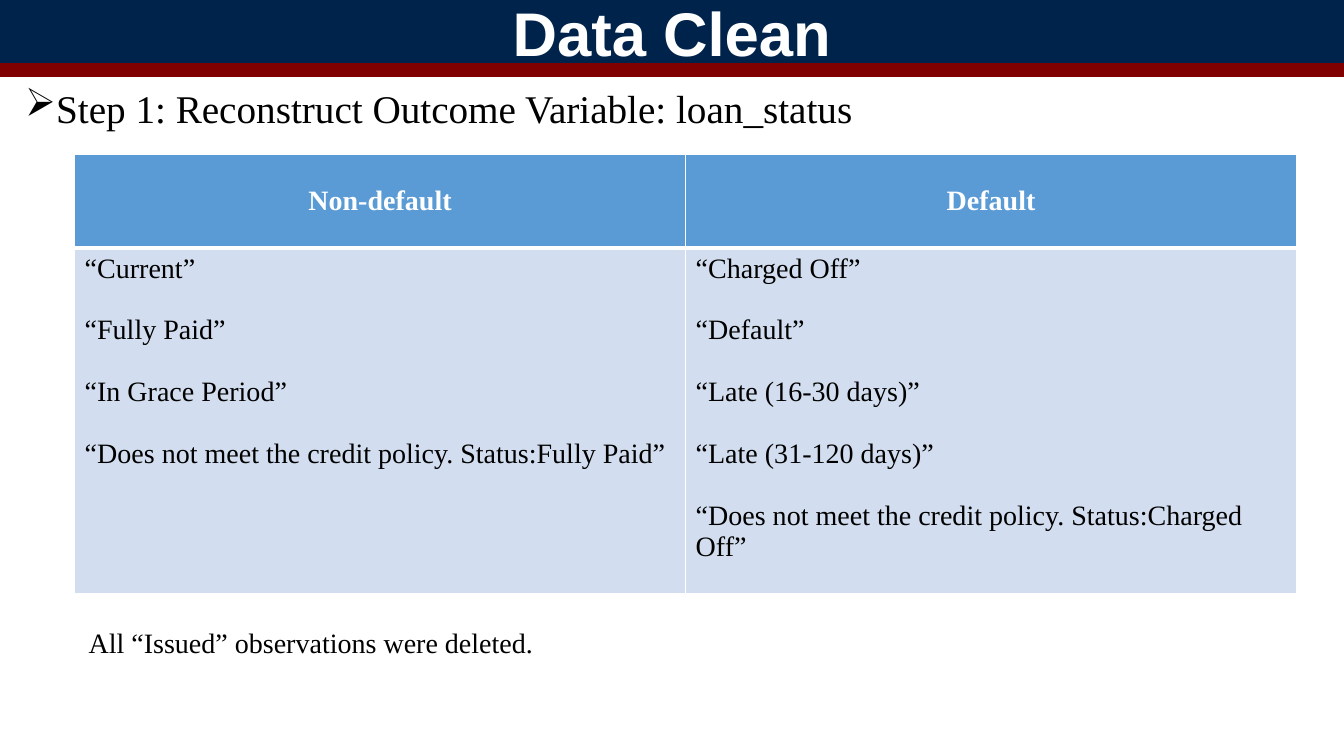
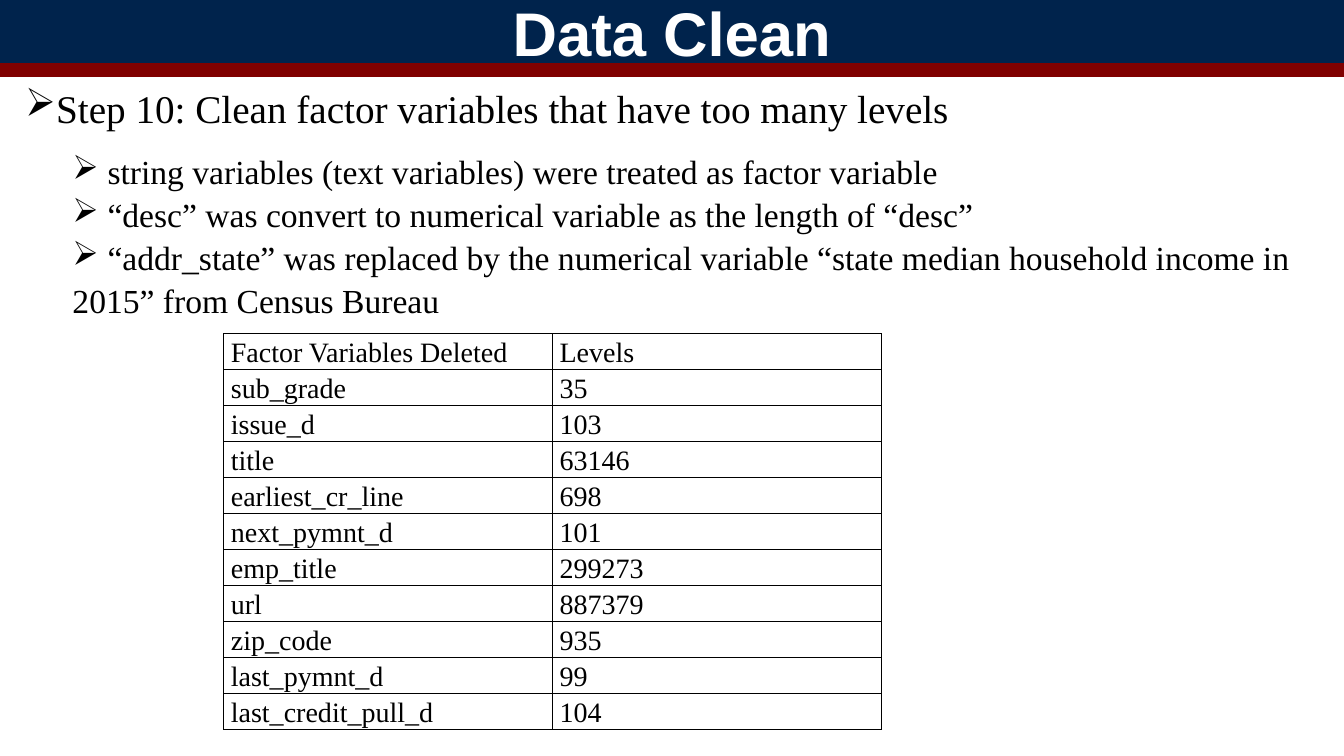
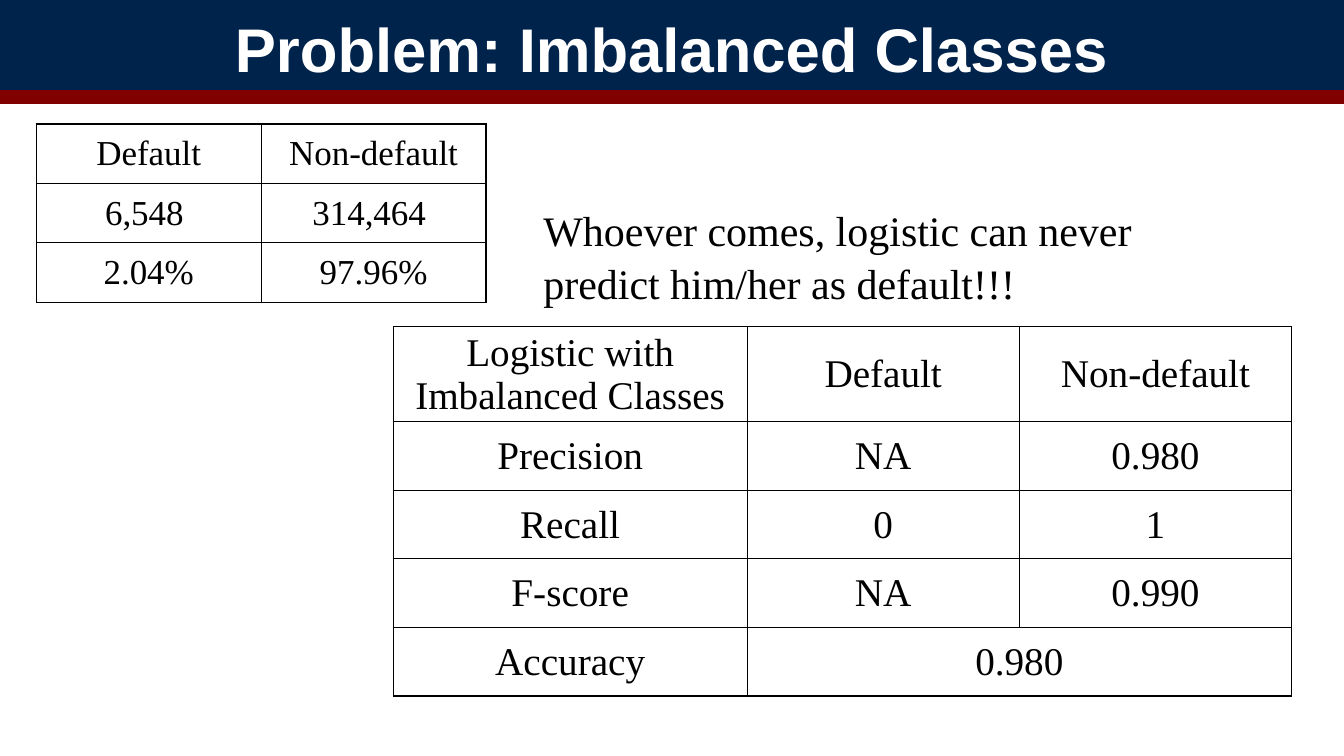
"""Build three slides on loan data cleaning and imbalanced classes."""
from dataclasses import dataclass

from lxml.etree import SubElement
from pptx import Presentation
from pptx.dml.color import RGBColor
from pptx.enum.shapes import MSO_CONNECTOR as Connector
from pptx.enum.text import MSO_ANCHOR as Anchor, MSO_AUTO_SIZE as AutoSize, PP_ALIGN as Align
from pptx.oxml import parse_xml
from pptx.oxml.ns import nsdecls, qn
from pptx.util import Pt

PX = 9144
SLIDE_W, SLIDE_H = 1333, 750


@dataclass(frozen=True)
class Theme:
    navy: str = "00234C"
    maroon: str = "800000"
    white: str = "FFFFFF"
    black: str = "000000"
    header_blue: str = "5B9BD5"
    pale_blue: str = "D2DEEF"
    title_font: str = "Arial"
    body_font: str = "Times New Roman"
    title: int = 44
    callout: int = 30
    step: int = 28
    detail: int = 24
    counts: int = 25
    small: int = 20
    rule: int = 10
    leading: float = 1.07


THEME = Theme()

STEP_BOX = (15, 75, 1335, 57)
STATUS_STYLE = dict(size=THEME.small, border=THEME.white, fills=(THEME.header_blue, THEME.pale_blue),
                    header_rule=3, header_color=THEME.white, header_bold=True,
                    margins=(10, 5, 10, 5), body_anchor=Anchor.TOP, item_gap=22)
LEVELS_STYLE = dict(size=THEME.small, margins=(7, 0, 7, 0), leading=THEME.leading)
CLASS_STYLE = dict(margins=(1, 1, 1, 0), align=Align.CENTER)

SLIDES = [
    dict(
        title="Data Clean", band=63, rule_y=69,
        texts=[
            dict(box=STEP_BOX, size=THEME.step, bullet_indent=-50,
                 lines=["Step 1: Reconstruct Outcome Variable: loan_status"]),
            dict(box=(78, 613, 809, 44), size=THEME.small,
                 lines=["All “Issued” observations were deleted."]),
        ],
        tables=[
            dict(at=(74, 153), columns=[606, 606], heights=[93, 343], style=STATUS_STYLE, rows=[
                ("Non-default", "Default"),
                (["“Current”", "“Fully Paid”", "“In Grace Period”",
                  "“Does not meet the credit policy. Status:Fully Paid”"],
                 ["“Charged Off”", "“Default”", "“Late (16-30 days)”", "“Late (31-120 days)”",
                  "“Does not meet the credit policy. Status:Charged Off”"]),
            ]),
        ],
    ),
    dict(
        title="Data Clean", band=63, rule_y=69,
        texts=[
            dict(box=STEP_BOX, size=THEME.step, bullet_indent=-50,
                 lines=["Step 10: Clean factor variables that have too many levels"]),
            dict(box=(62, 142, 1231, 172), size=THEME.detail, bullet_indent=0, lines=[
                " string variables (text variables) were treated as factor variable",
                " “desc” was convert to numerical variable as the length of “desc”",
                " “addr_state” was replaced by the numerical variable "
                "“state median household income in 2015” from Census Bureau",
            ]),
        ],
        tables=[
            dict(at=(222, 331), columns=[326, 326], heights=[392 / 11] * 11, style=LEVELS_STYLE, rows=[
                ("Factor Variables Deleted", "Levels"),
                ("sub_grade", "35"),
                ("issue_d", "103"),
                ("title", "63146"),
                ("earliest_cr_line", "698"),
                ("next_pymnt_d", "101"),
                ("emp_title", "299273"),
                ("url", "887379"),
                ("zip_code", "935"),
                ("last_pymnt_d", "99"),
                ("last_credit_pull_d", "104"),
            ]),
        ],
    ),
    dict(
        title="Problem: Imbalanced Classes", band=94, rule_y=96,
        texts=[
            dict(box=(529, 194, 695, 111), size=THEME.callout,
                 lines=["Whoever comes, logistic can never predict him/her as default!!!"]),
        ],
        tables=[
            dict(at=(36, 123), columns=[223, 223], heights=[59] * 3,
                 style=dict(CLASS_STYLE, size=THEME.counts), rows=[
                     ("Default", "Non-default"),
                     ("6,548 ", "314,464 "),
                     ("2.04%", "97.96%"),
                 ]),
            dict(at=(390, 324), columns=[351, 270, 270], heights=[87] + [68] * 4,
                 style=dict(CLASS_STYLE, size=THEME.step), rows=[
                     ("Logistic with Imbalanced Classes", "Default", "Non-default"),
                     ("Precision", "NA", "0.980"),
                     ("Recall", "0", "1"),
                     ("F-score", "NA", "0.990"),
                     ("Accuracy", "0.980", None),
                 ]),
        ],
    ),
]


def emu(*lengths):
    return [round(length * PX) for length in lengths]


def rgb(color):
    return RGBColor.from_string(color)


def set_font(paragraph, size, color=THEME.black, bold=False, face=THEME.body_font):
    font = paragraph.font
    font.name, font.size, font.bold = face, Pt(size), bold
    font.color.rgb = rgb(color)


def fill_lines(frame, lines):
    frame.text = lines[0]
    for line in lines[1:]:
        frame.add_paragraph().text = line
    return frame.paragraphs


def add_header(slide, title, band, rule_y):
    heading = slide.shapes.title
    heading.left, heading.top, heading.width, heading.height = emu(0, 0, SLIDE_W, band)
    heading.fill.solid()
    heading.fill.fore_color.rgb = rgb(THEME.navy)
    frame = heading.text_frame
    frame.text = title
    frame.auto_size, frame.vertical_anchor = AutoSize.NONE, Anchor.MIDDLE
    frame.paragraphs[0].alignment = Align.CENTER
    set_font(frame.paragraphs[0], THEME.title, THEME.white, True, THEME.title_font)

    rule = slide.shapes.add_connector(Connector.STRAIGHT, *emu(-1, rule_y, SLIDE_W, rule_y))
    rule.line.color.rgb = rgb(THEME.maroon)
    rule.line.width = Pt(THEME.rule)
    SubElement(rule._element.spPr, qn("a:effectLst"))


def add_text(slide, box, size, lines, bullet_indent=None):
    frame = slide.shapes.add_textbox(*emu(*box)).text_frame
    frame.word_wrap = True
    for paragraph in fill_lines(frame, lines):
        paragraph.line_spacing = THEME.leading
        set_font(paragraph, size)
        if bullet_indent is not None:
            properties = paragraph._p.get_or_add_pPr()
            properties.set("marL", "0")
            properties.set("indent", str(bullet_indent * PX))
            bullet = parse_xml(f'<a:buChar {nsdecls("a")} char="➢"/>')
            properties.find(qn("a:defRPr")).addprevious(bullet)


def set_borders(cell, color, widths):
    properties = cell._tc.get_or_add_tcPr()
    for place, (side, width) in enumerate(zip("LRTB", widths)):
        properties.insert(place, parse_xml(
            f'<a:ln{side} {nsdecls("a")} w="{Pt(width)}"><a:solidFill>'
            f'<a:srgbClr val="{color}"/></a:solidFill></a:ln{side}>'))


def style_cell(cell, content, row, size, margins, border=THEME.black, fills=None, header_rule=1,
               header_color=THEME.black, header_bold=False, align=Align.LEFT,
               body_anchor=Anchor.MIDDLE, item_gap=0, leading=1.0):
    is_header = row == 0
    if fills:
        cell.fill.solid()
        cell.fill.fore_color.rgb = rgb(fills[0 if is_header else 1])
    else:
        cell.fill.background()
    set_borders(cell, border, (1, 1, header_rule if row == 1 else 1, header_rule if is_header else 1))
    cell.margin_left, cell.margin_top, cell.margin_right, cell.margin_bottom = emu(*margins)
    cell.vertical_anchor = Anchor.MIDDLE if is_header else body_anchor
    if content is None:
        return
    lines = content if isinstance(content, list) else [content]
    for place, paragraph in enumerate(fill_lines(cell.text_frame, lines)):
        paragraph.alignment = Align.CENTER if is_header and header_bold else align
        paragraph.line_spacing = leading
        paragraph.space_before = Pt(item_gap if place else 0)
        set_font(paragraph, size, header_color if is_header else THEME.black, is_header and header_bold)


def add_grid(slide, at, columns, heights, rows, style):
    extent = emu(*at, sum(columns), sum(heights))
    table = slide.shapes.add_table(len(rows), len(columns), *extent).table
    table.first_row = table.horz_banding = False
    for column, width in zip(table.columns, emu(*columns)):
        column.width = width
    for table_row, height in zip(table.rows, emu(*heights)):
        table_row.height = height
    for row, contents in enumerate(rows):
        for column, content in enumerate(contents):
            cell = table.cell(row, column)
            style_cell(cell, content, row, **style)
            if content is None:
                table.cell(row, column - 1).merge(cell)


def main():
    deck = Presentation()
    deck.slide_width, deck.slide_height = emu(SLIDE_W, SLIDE_H)
    title_only = deck.slide_layouts[5]
    for page in SLIDES:
        slide = deck.slides.add_slide(title_only)
        add_header(slide, page["title"], page["band"], page["rule_y"])
        for text in page["texts"]:
            add_text(slide, **text)
        for table in page["tables"]:
            add_grid(slide, **table)
    deck.save("out.pptx")


if __name__ == "__main__":
    main()
